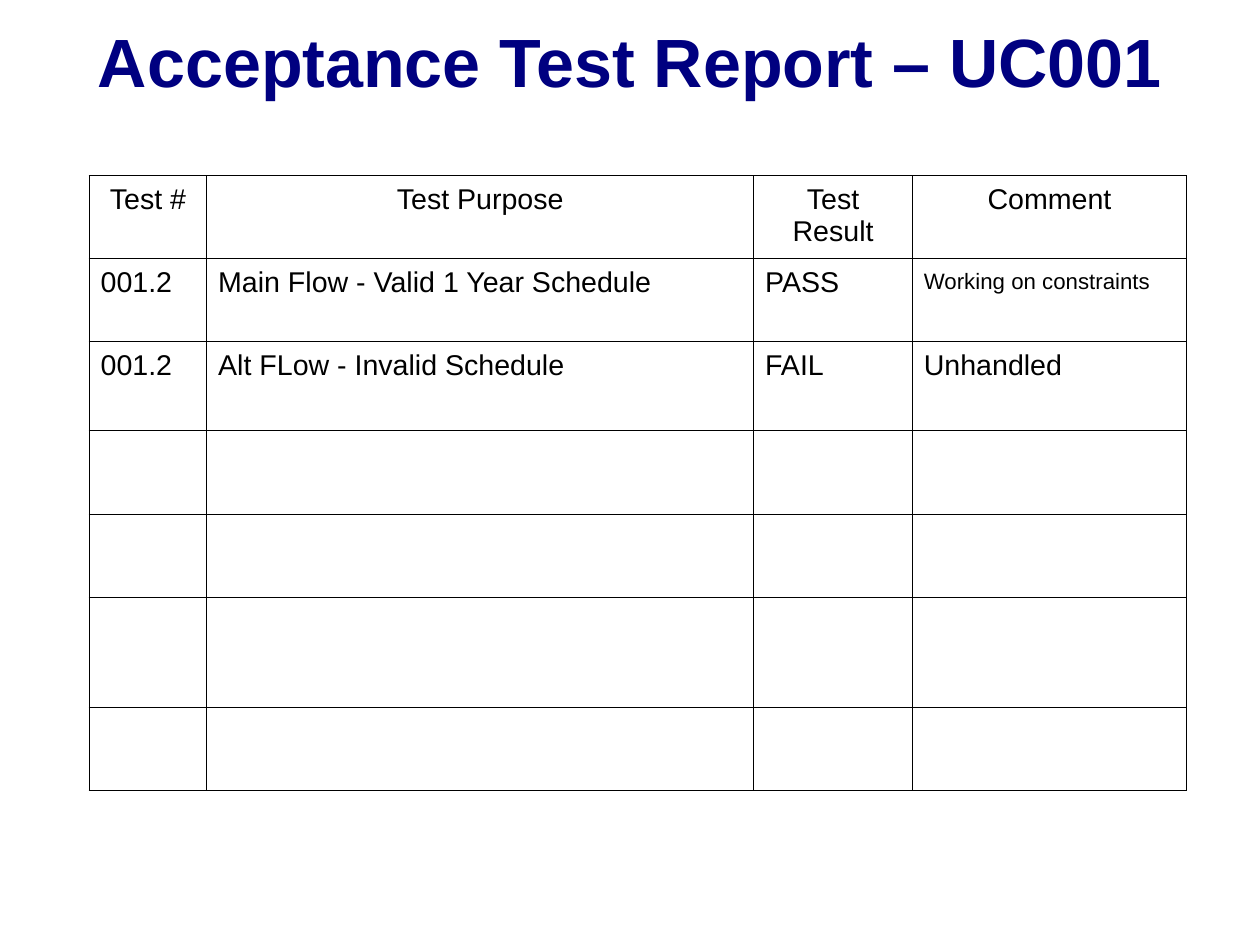
from lxml import etree
from pptx import Presentation
from pptx import util as u
from pptx.dml.color import RGBColor
from pptx.enum import text
from pptx.oxml import ns

NAVY = RGBColor(0x00, 0x00, 0x80)
BLACK = RGBColor(0x00, 0x00, 0x00)
WHITE = RGBColor(0xFF, 0xFF, 0xFF)
FONT = "Arial"

TITLE_BOX = (2.45, 2.66, 95.07, 12.09)
TABLE_BOX = (7.08, 18.62, 87.09, 65.07)
COLUMN_SHARES = (1.03, 4.79, 1.39, 2.4)
ROW_SHARES = (0.72, 0.73, 0.78, 0.73, 0.73, 0.96, 0.73)
REPORT = (
    ("Test #", "Test Purpose", "Test Result", "Comment"),
    ("001.2", "Main Flow - Valid 1 Year Schedule", "PASS", "Working on constraints"),
    ("001.2", "Alt FLow - Invalid Schedule", "FAIL", "Unhandled"),
)
SMALL_CELL = (1, 3)


def percent_box(deck, box):
    sizes = (deck.slide_width, deck.slide_height) * 2
    return [round(size * share / 100) for size, share in zip(sizes, box)]


def add_span(para, words, size, color, bold=False):
    span = para.add_run()
    span.text = words
    span.font.name = FONT
    span.font.size = u.Pt(size)
    span.font.bold = bold
    span.font.color.rgb = color


def place_title(page, box, words):
    title = page.shapes.title
    title.left, title.top, title.width, title.height = box
    frame = title.text_frame
    frame.margin_left = frame.margin_right = frame.margin_top = frame.margin_bottom = 0
    frame.word_wrap = True
    frame.auto_size = text.MSO_AUTO_SIZE.NONE
    frame.vertical_anchor = text.MSO_ANCHOR.TOP
    para = frame.paragraphs[0]
    para.alignment = text.PP_ALIGN.CENTER
    para.line_spacing = 0.95
    add_span(para, words, 43, NAVY, bold=True)


def add_borders(cell):
    properties = cell._tc.get_or_add_tcPr()
    for side in "LRTB":
        line = etree.SubElement(properties, ns.qn("a:ln" + side), w=str(u.Pt(0.75)))
        fill = etree.SubElement(line, ns.qn("a:solidFill"))
        etree.SubElement(fill, ns.qn("a:srgbClr"), val=str(BLACK))


def format_cell(cell, small):
    add_borders(cell)
    cell.fill.solid()
    cell.fill.fore_color.rgb = WHITE
    cell.margin_left = cell.margin_right = u.Inches(0.1)
    cell.margin_top = u.Inches(0.1 if small else 0.07)
    cell.margin_bottom = u.Inches(0.1 if small else 0.05)


def place_report_table(page, box, report):
    left, top, width, height = box
    table = page.shapes.add_table(len(ROW_SHARES), len(COLUMN_SHARES), *box).table
    table.first_row = table.horz_banding = False
    for column, share in zip(table.columns, COLUMN_SHARES):
        column.width = round(width * share / sum(COLUMN_SHARES))
    for r, (row, share) in enumerate(zip(table.rows, ROW_SHARES)):
        row.height = round(height * share / sum(ROW_SHARES))
        for c, cell in enumerate(row.cells):
            format_cell(cell, (r, c) == SMALL_CELL)
    for r, entries in enumerate(report):
        for c, words in enumerate(entries):
            para = table.cell(r, c).text_frame.paragraphs[0]
            para.alignment = text.PP_ALIGN.LEFT if r else text.PP_ALIGN.CENTER
            add_span(para, words, 14 if (r, c) == SMALL_CELL else 18, BLACK)


def main():
    deck = Presentation()
    deck.slide_width, deck.slide_height = u.Cm(28), u.Cm(21)
    page = deck.slides.add_slide(deck.slide_layouts[5])
    place_title(page, percent_box(deck, TITLE_BOX), "Acceptance Test Report – UC001")
    place_report_table(page, percent_box(deck, TABLE_BOX), REPORT)
    deck.save("out.pptx")


main()
